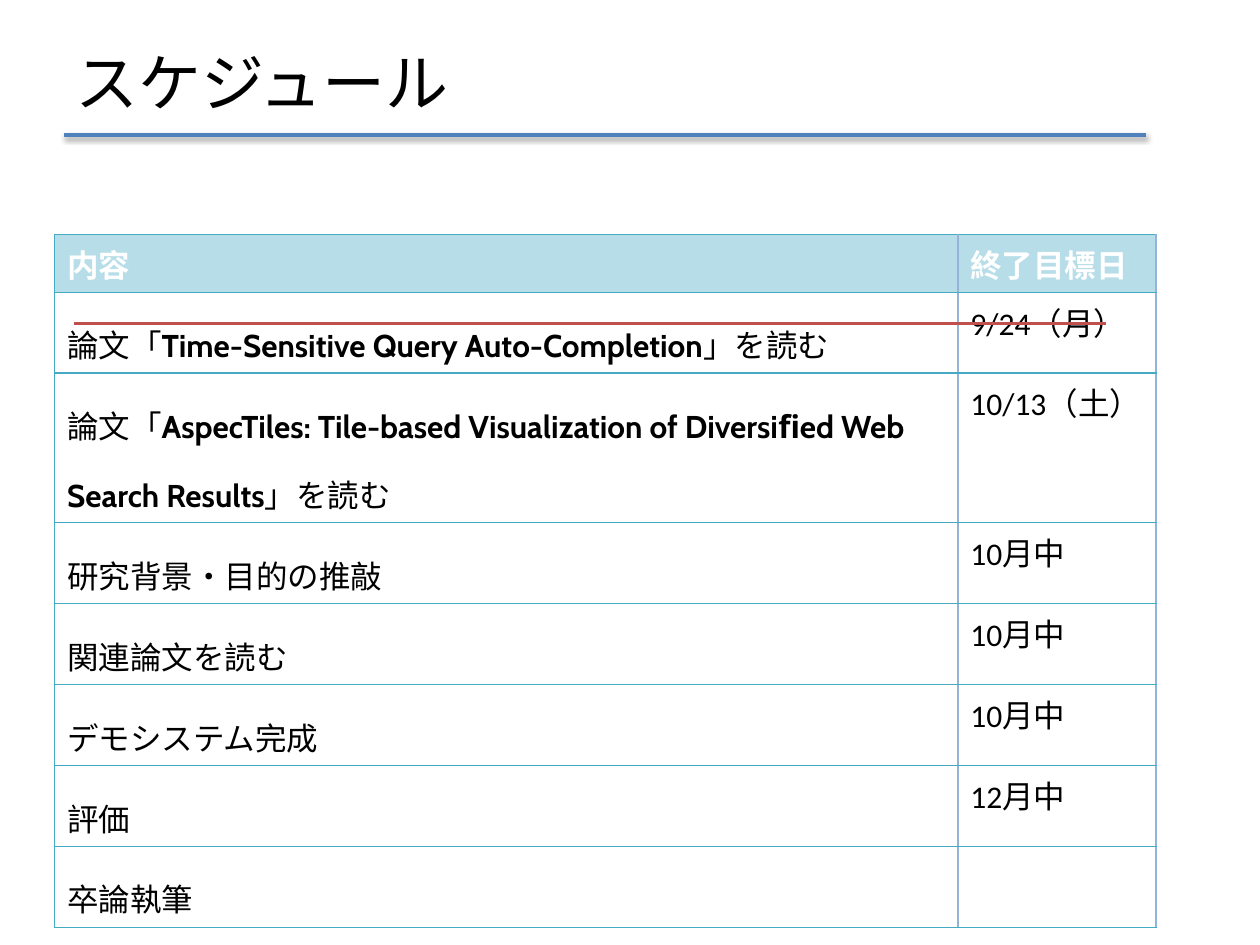
from pptx import Presentation
from pptx.dml.color import RGBColor as RGB
from pptx.enum.shapes import MSO_CONNECTOR as Connector
from pptx.enum.text import MSO_ANCHOR as Anchor
from pptx.oxml import parse_xml
from pptx.oxml.ns import nsdecls
from pptx.util import Cm, Pt

theme = {
    "cjk": "Noto Sans CJK JP", "latin": "Calibri", "paper": "Cabin",
    "title": Pt(36), "body": Pt(18),
    "text": "000000", "heading": "FFFFFF", "heading_fill": "B7DEE8",
    "teal": "46AAC5", "pale": "95B3D7", "rule": "4F81BD", "done": "C0504D",
}


def write(paragraph, runs, size, color):
    for text, face, bold in runs:
        run = paragraph.add_run()
        run.text = text
        formats = {"name": theme[face], "size": size, "bold": bold}
        for key, value in formats.items():
            setattr(run.font, key, value)
        run.font.color.rgb = RGB.from_string(color)
        run.font._element.find("{*}latin").addnext(
            parse_xml(f'<a:ea {nsdecls("a")} typeface="{theme["cjk"]}"/>'))


def paper(name):
    return [("論文「", "cjk", False), (name, "paper", True), ("」を読む", "cjk", False)]


prs = Presentation()
prs.slide_width, prs.slide_height = Cm(25.4), Cm(19.05)
slide = prs.slides.add_slide(prs.slide_layouts[6])

title = slide.shapes.add_textbox(Cm(1.27), Cm(0.76), Cm(20.75), Cm(1.75)).text_frame
for key, value in {"word_wrap": True, "vertical_anchor": Anchor.MIDDLE}.items():
    setattr(title, key, value)
write(title.paragraphs[0], [("スケジュール", "cjk", False)], theme["title"], theme["text"])

tasks = [
    (paper("Time-Sensitive Query Auto-Completion"), "9/24（月）"),
    (paper("AspecTiles: Tile-based Visualization of Diversiﬁed Web Search Results"), "10/13（土）"),
    ([("研究背景・目的の推敲", "cjk", False)], "10月中"),
    ([("関連論文を読む", "cjk", False)], "10月中"),
    ([("デモシステム完成", "cjk", False)], "10月中"),
    ([("評価", "cjk", False)], "12月中"),
    ([("卒論執筆", "cjk", False)], ""),
]
rows = [([("内容", "latin", True)], [("終了目標日", "latin", True)])]
rows += [(task, [(due, "latin", False)] if due else []) for task, due in tasks]
heights = [1.17, 1.63, 3.02] + [1.63] * 5

schedule = slide.shapes.add_table(
    len(rows), 2, Cm(1.1), Cm(4.72), Cm(22.2), Cm(sum(heights))).table
for key in ("first_row", "horz_banding"):
    setattr(schedule, key, False)
for column, width in zip(schedule.columns, (18.21, 3.99)):
    column.width = Cm(width)

for r, (row, height) in enumerate(zip(rows, heights)):
    schedule.rows[r].height = Cm(height)
    for c, runs in enumerate(row):
        cell = schedule.cell(r, c)
        edges = {
            "lnL": ("pale", Pt(1)) if c else ("teal", Pt(0.75)),
            "lnR": ("pale", Pt(1)),
            "lnT": ("teal", Pt(0.75)),
            "lnB": ("teal", Pt(0.75)),
        }
        properties = cell._tc.get_or_add_tcPr()
        for edge, (color, width) in edges.items():
            properties.append(parse_xml(
                f'<a:{edge} {nsdecls("a")} w="{width}"><a:solidFill>'
                f'<a:srgbClr val="{theme[color]}"/></a:solidFill></a:{edge}>'))
        if r == 0:
            cell.fill.solid()
            cell.fill.fore_color.rgb = RGB.from_string(theme["heading_fill"])
        else:
            cell.fill.background()
        paragraph = cell.text_frame.paragraphs[0]
        paragraph.font.size = theme["body"]
        if r and c == 0:
            paragraph.line_spacing = 1.5
        write(paragraph, runs, theme["body"], theme["text" if r else "heading"])

shadow = ('<a:outerShdw blurRad="40000" dist="20000" dir="5400000" rotWithShape="0">'
          '<a:srgbClr val="000000"><a:alpha val="38000"/></a:srgbClr></a:outerShdw>')
for left, right, y, color, effect in (
        (1.3, 23.1, 2.72, "rule", shadow), (1.5, 22.3, 6.52, "done", "")):
    stroke = slide.shapes.add_connector(
        Connector.STRAIGHT, Cm(left), Cm(y), Cm(right), Cm(y))
    stroke.line.color.rgb = RGB.from_string(theme[color])
    stroke.line.width = Pt(2)
    stroke._element.spPr.append(
        parse_xml(f'<a:effectLst {nsdecls("a")}>{effect}</a:effectLst>'))

prs.save("out.pptx")
